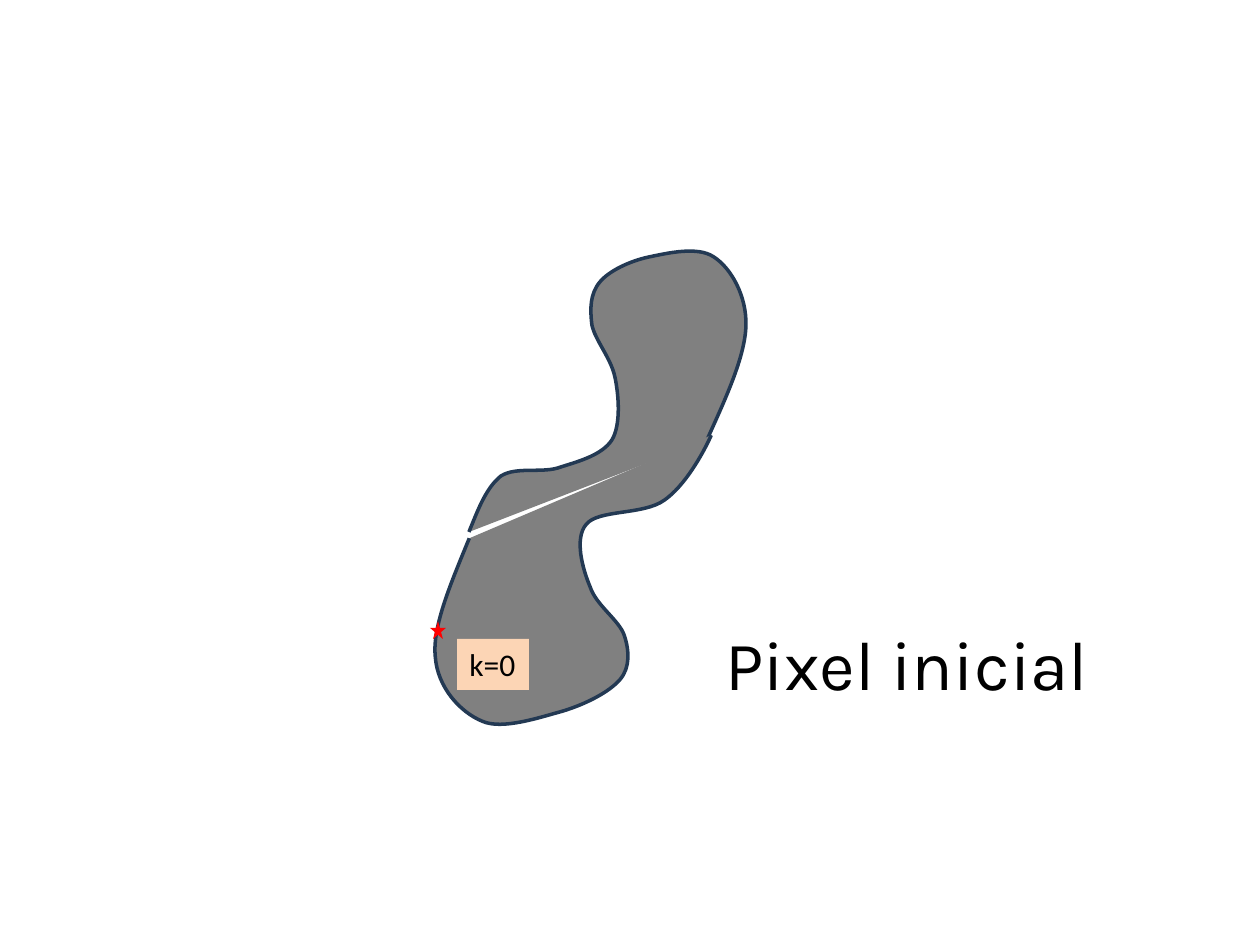
from math import cos, radians, sin

from lxml import etree
from pptx import Presentation
from pptx.dml.color import RGBColor
from pptx.enum.shapes import MSO_SHAPE
from pptx.enum.text import MSO_ANCHOR, MSO_AUTO_SIZE, PP_ALIGN
from pptx.oxml.ns import qn
from pptx.util import Pt

RECTANGLE, STAR = MSO_SHAPE.RECTANGLE, MSO_SHAPE.STAR_5_POINT
LEFT, CENTER = PP_ALIGN.LEFT, PP_ALIGN.CENTER
TOP, MIDDLE = MSO_ANCHOR.TOP, MSO_ANCHOR.MIDDLE
GROW = MSO_AUTO_SIZE.SHAPE_TO_FIT_TEXT

PX = 914400 / 126  # EMU per px

GRAY = RGBColor(0x80, 0x80, 0x80)
NAVY = RGBColor(0x23, 0x39, 0x53)
RED = RGBColor(0xFF, 0x00, 0x00)
PEACH = RGBColor(0xFC, 0xD5, 0xB5)
BLACK = RGBColor(0x00, 0x00, 0x00)

# Region halves: turn, pivot, start, then (control, control, end) of each curve
UPPER_HALF = (0, (608, 391), (469, 532), [
    ((478, 510), (486, 488), (501, 476)),
    ((517, 466), (543, 474), (561, 467)),
    ((580, 461), (602, 455), (612, 440)),
    ((621, 425), (619, 396), (615, 377)),
    ((611, 358), (595, 340), (592, 325)),
    ((590, 309), (590, 294), (600, 282)),
    ((609, 271), (630, 261), (649, 257)),
    ((668, 253), (698, 246), (714, 257)),
    ((731, 268), (747, 296), (746, 326)),
    ((745, 357), (726, 398), (707, 440)),
])
LOWER_HALF = (173.1, (578, 578), (712, 430), [
    ((703, 450), (685, 481), (665, 495)),
    ((644, 510), (599, 504), (587, 519)),
    ((575, 533), (583, 563), (591, 582)),
    ((597, 600), (620, 615), (625, 630)),
    ((630, 645), (631, 662), (621, 674)),
    ((610, 687), (586, 699), (563, 706)),
    ((541, 712), (503, 725), (483, 716)),
    ((461, 707), (438, 682), (436, 651)),
    ((433, 621), (452, 577), (470, 533)),
])
START_PIXEL = (430, 621, 16, 18)
STEP_LABEL = ("k=0", (457, 639, 72, 51))
TITLE = ("Pixel inicial", (691, 614, 432, 97))

STEP_FONT = {"name": "Calibri", "size": Pt(18)}
TITLE_FONT = {"name": "Karla", "size": Pt(39.6)}


def emu(lengths):
    return [round(length * PX) for length in lengths]


def turned_back(point, pivot, turn):
    """Place of a point, in EMU, before its shape is turned about the pivot."""
    angle = radians(-turn)
    x, y = point[0] - pivot[0], point[1] - pivot[1]
    return emu((pivot[0] + x * cos(angle) - y * sin(angle),
                pivot[1] + x * sin(angle) + y * cos(angle)))


def add_region(slide, turn, pivot, start, curves):
    start = turned_back(start, pivot, turn)
    curves = [[turned_back(point, pivot, turn) for point in curve]
              for curve in curves]
    builder = slide.shapes.build_freeform(*start)
    builder.add_line_segments([curve[-1] for curve in curves], close=False)
    region = builder.convert_to_shape()

    # Bend each straight segment into a cubic Bézier curve
    segments = list(region.element.iter(qn("a:lnTo")))
    for segment, curve in zip(segments, curves):
        bend = etree.Element(qn("a:cubicBezTo"))
        for x, y in curve:
            etree.SubElement(bend, qn("a:pt"),
                             x=str(x - region.left), y=str(y - region.top))
        segment.getparent().replace(segment, bend)

    region.rotation = turn
    region.shadow.inherit = False
    region.fill.solid()
    region.fill.fore_color.rgb = GRAY
    region.line.color.rgb = NAVY
    region.line.width = Pt(2)


def add_marker(slide, preset, box, color):
    marker = slide.shapes.add_shape(preset, *emu(box))
    marker.shadow.inherit = False
    marker.fill.solid()
    marker.fill.fore_color.rgb = color
    marker.line.fill.background()
    return marker


def write(frame, text, font, frame_format, alignment):
    for key, value in frame_format.items():
        setattr(frame, key, value)
    paragraph = frame.paragraphs[0]
    paragraph.alignment = alignment
    run = paragraph.add_run()
    run.text = text
    for key, value in font.items():
        setattr(run.font, key, value)
    run.font.color.rgb = BLACK


def main():
    prs = Presentation()
    prs.slide_width, prs.slide_height = emu((1260, 945))
    slide = prs.slides.add_slide(prs.slide_layouts[6])

    # Region
    for half in (UPPER_HALF, LOWER_HALF):
        add_region(slide, *half)

    # Starting pixel and its step label
    add_marker(slide, STAR, START_PIXEL, RED)
    text, box = STEP_LABEL
    label = add_marker(slide, RECTANGLE, box, PEACH)
    write(label.text_frame, text, STEP_FONT,
          {"word_wrap": False, "auto_size": GROW, "vertical_anchor": TOP}, LEFT)

    # Title
    text, box = TITLE
    title = slide.shapes.add_textbox(*emu(box))
    write(title.text_frame, text, TITLE_FONT,
          {"word_wrap": True, "vertical_anchor": MIDDLE}, CENTER)

    prs.save("out.pptx")


if __name__ == "__main__":
    main()
